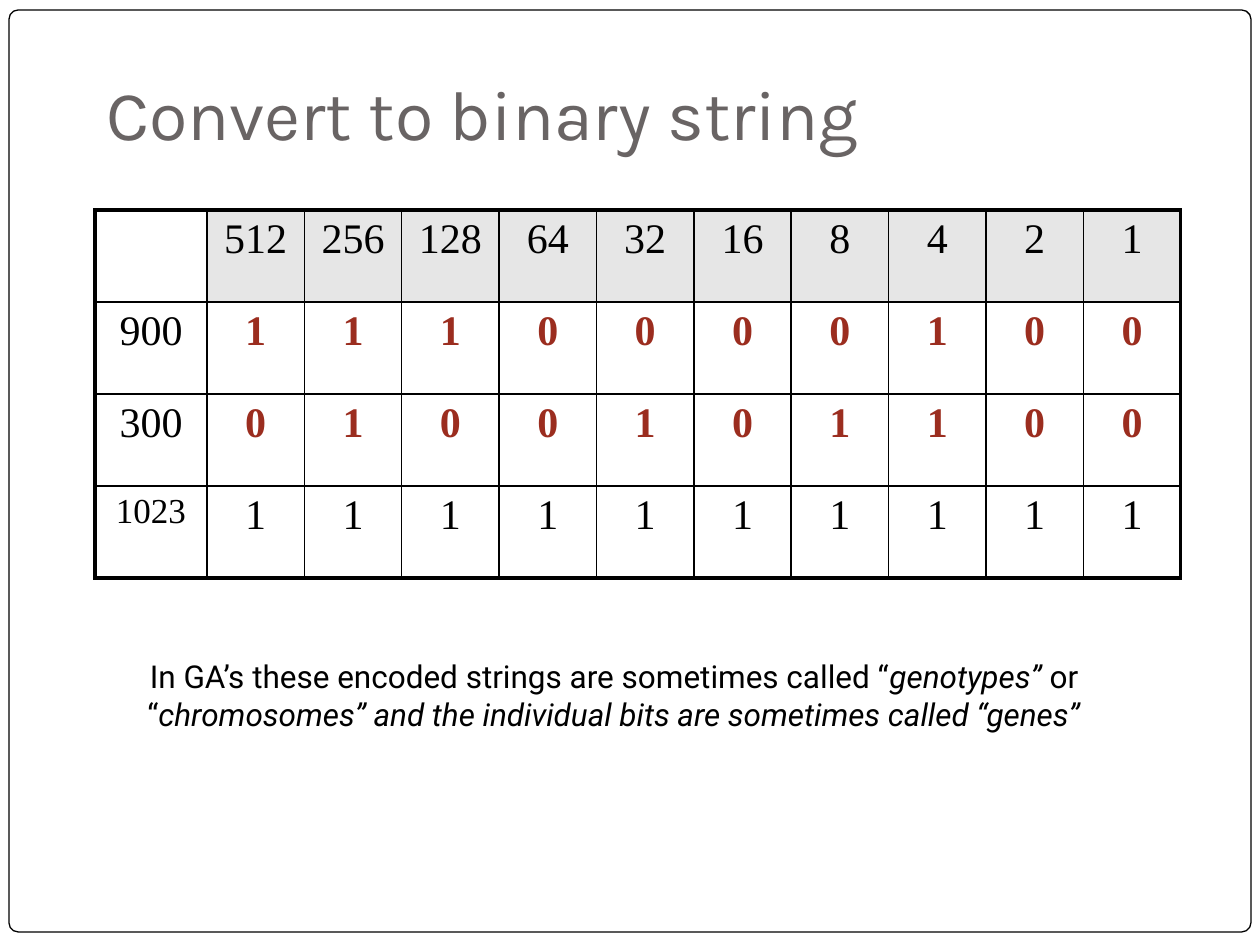
from lxml import etree
from pptx import Presentation
from pptx.dml.color import RGBColor
from pptx.enum.shapes import MSO_SHAPE
from pptx.enum.text import MSO_ANCHOR, PP_ALIGN
from pptx.oxml.ns import qn
from pptx.util import Emu, Pt

ROUNDED = MSO_SHAPE.ROUNDED_RECTANGLE
TOP, BOTTOM = MSO_ANCHOR.TOP, MSO_ANCHOR.BOTTOM
LEFT, CENTER = PP_ALIGN.LEFT, PP_ALIGN.CENTER

BITS = 10
NUMBERS = [900, 300, 1023]


def px(length):
    return Emu(round(length * 914400 / 126))


def color(hex_code):
    return RGBColor.from_string(hex_code)


class SlideBuilder:
    title_font, body_font, table_font = "Karla", "Roboto", "Times New Roman"
    black, white, gray = "000000", "FFFFFF", "696464"
    header_fill, accent = "E6E6E6", "9B2D1F"
    outer_border, inner_border = 2.25, 1

    def __init__(self, slide):
        self.slide = slide

    def style_run(self, run, font, size, hex_code, bold=False, italic=False):
        run.font.name = font
        run.font.size = Pt(size)
        run.font.color.rgb = color(hex_code)
        run.font.bold = bold
        run.font.italic = italic

    def frame(self, left, top, width, height):
        outline = self.slide.shapes.add_shape(
            ROUNDED, px(left), px(top), px(width), px(height))
        outline.adjustments[0] = 0.01
        outline.shadow.inherit = False
        outline.fill.solid()
        outline.fill.fore_color.rgb = color(self.white)
        outline.line.color.rgb = color(self.black)
        outline.line.width = Pt(0.75)

    def text(self, left, top, width, height, parts, font, size, hex_code,
             align=LEFT, anchor=TOP, bottom_inset=6):
        box = self.slide.shapes.add_textbox(
            px(left), px(top), px(width), px(height))
        text_frame = box.text_frame
        text_frame.word_wrap = True
        text_frame.vertical_anchor = anchor
        text_frame.margin_bottom = px(bottom_inset)
        paragraph = text_frame.paragraphs[0]
        paragraph.alignment = align
        for words, italic in parts:
            run = paragraph.add_run()
            run.text = words
            self.style_run(run, font, size, hex_code, italic=italic)

    def border(self, cell, side, points):
        line = etree.SubElement(cell._tc.get_or_add_tcPr(), qn(f"a:{side}"),
                                w=str(Pt(points)))
        fill = etree.SubElement(line, qn("a:solidFill"))
        etree.SubElement(fill, qn("a:srgbClr"), val=self.black)

    def cell(self, cell, words, edges, size, hex_code, bold, fill):
        cell.text = words
        paragraph = cell.text_frame.paragraphs[0]
        paragraph.alignment = CENTER
        for run in paragraph.runs:
            self.style_run(run, self.table_font, size, hex_code, bold)
        for side, is_outer in edges.items():
            self.border(cell, side,
                        self.outer_border if is_outer else self.inner_border)
        if fill:
            cell.fill.solid()
            cell.fill.fore_color.rgb = color(fill)
        else:
            cell.fill.background()

    def bit_table(self, left, top, label_width, bits_width, row_height, rows):
        last_row, last_column = len(rows) - 1, BITS
        table = self.slide.shapes.add_table(
            len(rows), BITS + 1, px(left), px(top),
            px(label_width + bits_width), px(row_height * len(rows))).table
        table.first_row = table.horz_banding = False
        for c, column in enumerate(table.columns):
            column.width = px(bits_width / BITS) if c else px(label_width)
        for r, row in enumerate(rows):
            table.rows[r].height = px(row_height)
            for c, words in enumerate(row):
                edges = {"lnL": c == 0, "lnR": c == last_column,
                         "lnT": r == 0, "lnB": r == last_row}
                encoded = c > 0 and 0 < r < last_row
                self.cell(table.cell(r, c), words, edges,
                          size=20 if len(words) > 3 else 24,
                          hex_code=self.accent if encoded else self.black,
                          bold=encoded,
                          fill=self.header_fill if r == 0 and c else None)


def main():
    deck = Presentation()
    deck.slide_width, deck.slide_height = px(1260), px(945)
    builder = SlideBuilder(deck.slides.add_slide(deck.slide_layouts[6]))

    builder.frame(9, 10, 1242, 922)
    builder.text(94, 32, 1071, 136, [("Convert to binary string", False)],
                 builder.title_font, 40, builder.gray,
                 anchor=BOTTOM, bottom_inset=13)

    place_values = [str(2 ** power) for power in reversed(range(BITS))]
    encodings = [[str(number), *format(number, f"0{BITS}b")]
                 for number in NUMBERS]
    builder.bit_table(95, 210, 112, 974, 92, [["", *place_values], *encodings])

    builder.text(94, 651, 1040, 164, [
        ("In GA’s these encoded strings are sometimes called “", False),
        ("genotypes”", True),
        (" or “", False),
        ("chromosomes” and the individual bits are sometimes called “genes”",
         True),
    ], builder.body_font, 18, builder.black, align=CENTER)

    deck.save("out.pptx")


if __name__ == "__main__":
    main()
